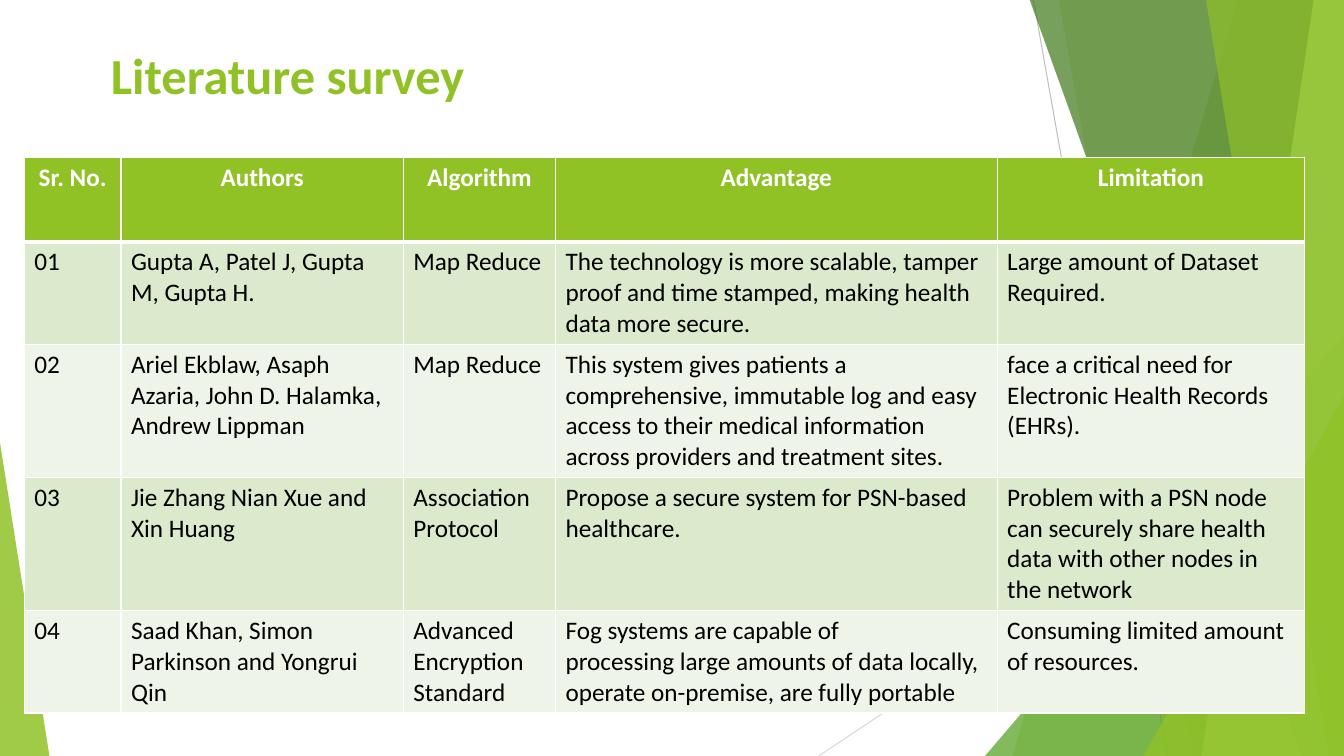
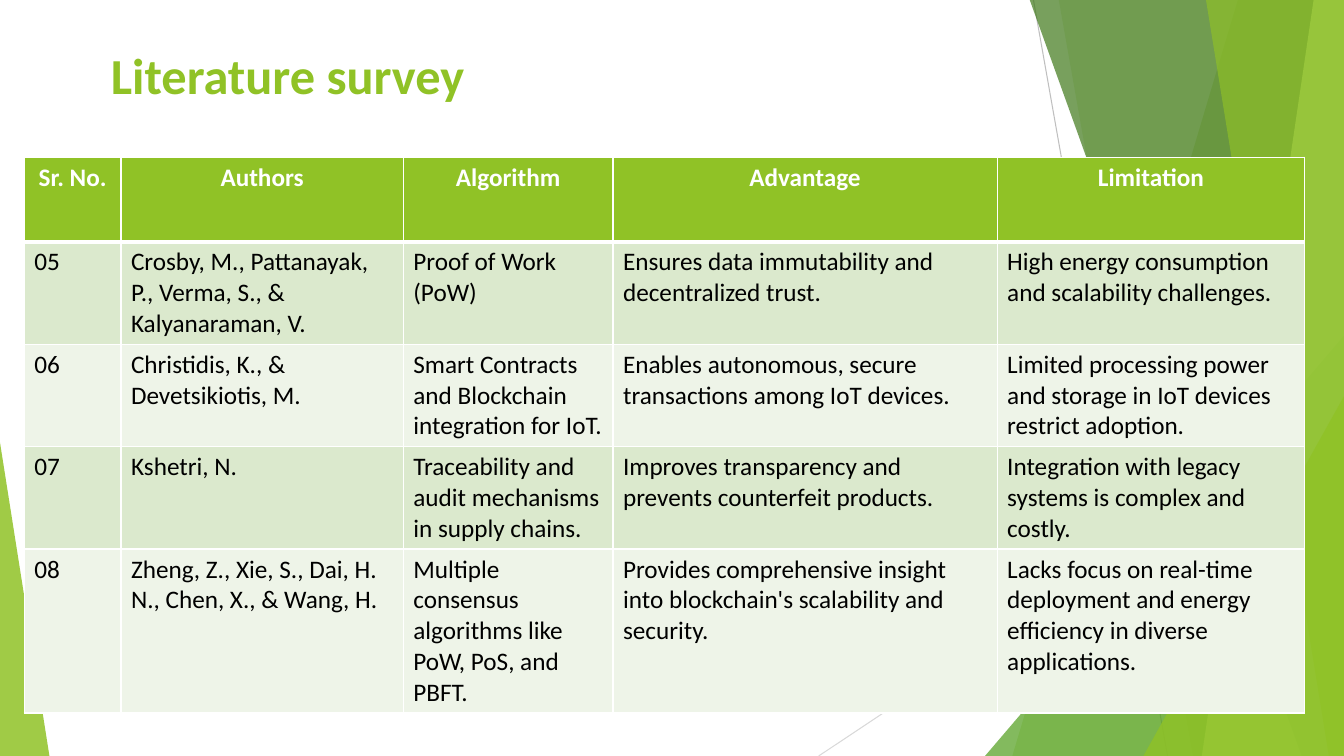
from dataclasses import dataclass

from lxml import etree
from pptx import Presentation
from pptx import util as u
from pptx.dml.color import RGBColor
from pptx.enum import shapes, text
from pptx.oxml.ns import qn

PX = 9144  # EMU per px, at 100 px to the inch
WIDTH, HEIGHT = 1333, 750


@dataclass(frozen=True)
class Theme:
    font: str = "Calibri"
    title_size: int = 36
    cell_size: int = 18
    green: str = "90C226"
    leaf: str = "54A021"
    forest: str = "3F7819"
    lime: str = "C0E474"
    white: str = "FFFFFF"
    black: str = "000000"
    bands: tuple = ("DBE9CD", "EEF4E8")
    greys: tuple = ("BFBFBF", "D9D9D9")
    hairline: float = 0.75
    border: int = 1
    header_border: int = 3


def px(*values):
    return [u.Emu(v * PX) for v in values]


def rgb(color):
    return RGBColor.from_string(color)


class Deck:
    def __init__(self, theme):
        self.theme = theme
        self.prs = Presentation()
        self.prs.slide_width, self.prs.slide_height = px(WIDTH, HEIGHT)
        self.layout = self.prs.slide_layouts[5]
        self.s = None

    def slide(self):
        self.s = self.prs.slides.add_slide(self.layout)

    def format(self, p, size, color, bold=False, align=text.PP_ALIGN.LEFT):
        p.alignment = align
        values = {"name": self.theme.font, "size": u.Pt(size), "bold": bold}
        for r in p.runs:
            for name, value in values.items():
                setattr(r.font, name, value)
            r.font.color.rgb = rgb(color)

    def title(self, words):
        sp = self.s.shapes.title
        sp.left, sp.top, sp.width, sp.height = px(100, 39, 1133, 95)
        tf = sp.text_frame
        tf.text = words
        tf.vertical_anchor = text.MSO_ANCHOR.TOP
        self.format(tf.paragraphs[0], self.theme.title_size, self.theme.green, bold=True)

    def line(self, start, end, color):
        line = self.s.shapes.add_connector(
            shapes.MSO_CONNECTOR.STRAIGHT, *px(*start, *end))
        line.line.color.rgb = rgb(color)
        line.line.width = u.Pt(self.theme.hairline)
        etree.SubElement(line._element.spPr, qn("a:effectLst"))

    def paint(self, sp, color, opacity):
        """Fill a shape with a translucent colour, without line or shadow."""
        sp.shadow.inherit = False
        sp.line.fill.background()
        sp.fill.solid()
        sp.fill.fore_color.rgb = rgb(color)
        clr = sp._element.spPr.find(".//" + qn("a:srgbClr"))
        etree.SubElement(clr, qn("a:alpha"), val=str(opacity * 1000))

    def shard(self, top_left, bottom_left, color, opacity):
        """Band from a slanted left edge to the right side of the slide."""
        builder = self.s.shapes.build_freeform(top_left, -1, PX)
        builder.add_line_segments(
            [(WIDTH, -1), (WIDTH, HEIGHT), (bottom_left, HEIGHT)], close=True)
        self.paint(builder.convert_to_shape(), color, opacity)

    def triangle(self, left, top, width, apex, color, opacity):
        sp = self.s.shapes.add_shape(
            shapes.MSO_SHAPE.ISOSCELES_TRIANGLE, *px(left, top, width, HEIGHT - top))
        sp.adjustments[0] = apex
        self.paint(sp, color, opacity)

    def backdrop(self):
        """Draw the facets once and move them to the layout all slides use."""
        t = self.theme
        self.slide()
        self.line((1025, 0), (1158, HEIGHT), t.greys[0])
        self.line((WIDTH, 403), (812, HEIGHT), t.greys[1])
        self.shard(1228, 1004, t.green, 30)
        self.shard(1050, 1183, t.green, 20)
        self.triangle(977, 333, 356, 1, t.leaf, 72)
        self.shard(1021, 1291, t.forest, 70)
        self.shard(1303, 1192, t.lime, 70)
        self.shard(1196, 1318, t.green, 65)
        self.triangle(1134, 393, 199, 1, t.green, 80)
        self.triangle(0, 439, 49, 0, t.green, 85)
        facets = [sp for sp in self.s.shapes if not sp.is_placeholder]
        for number, sp in enumerate(facets, 20):
            sp._element.find(".//" + qn("p:cNvPr")).set("id", str(number))
            self.layout.shapes.element.append(sp._element)

    def borders(self, cell, top, bottom):
        tcPr = cell._tc.get_or_add_tcPr()
        side = self.theme.border
        for tag, width in (("lnL", side), ("lnR", side), ("lnT", top), ("lnB", bottom)):
            ln = etree.SubElement(tcPr, qn("a:" + tag), w=str(u.Pt(width)))
            fill = etree.SubElement(ln, qn("a:solidFill"))
            etree.SubElement(fill, qn("a:srgbClr"), val=self.theme.white)

    def cell(self, cell, row, words):
        t = self.theme
        header = row == 0
        self.borders(cell,
                     t.header_border if row == 1 else t.border,
                     t.header_border if header else t.border)
        cell.fill.solid()
        cell.fill.fore_color.rgb = rgb(t.green if header else t.bands[(row - 1) % 2])
        cell.text = words
        for p in cell.text_frame.paragraphs:
            self.format(p, t.cell_size, t.white if header else t.black, header,
                        text.PP_ALIGN.CENTER if header else text.PP_ALIGN.LEFT)

    def table(self, rows, widths, heights):
        frame = self.s.shapes.add_table(
            len(rows), len(widths), *px(24, 156, sum(widths), sum(heights)))
        table = frame.table
        for column, width in zip(table.columns, px(*widths)):
            column.width = width
        for row, height in zip(table.rows, px(*heights)):
            row.height = height
        for i, row in enumerate(rows):
            for j, words in enumerate(row):
                self.cell(table.cell(i, j), i, words)


HEADER = ("Sr. No.", "Authors", "Algorithm", "Advantage", "Limitation")

SURVEYS = [
    {
        "widths": (96, 280, 151, 438, 305),
        "heights": (84, 101, 132, 132, 101),
        "rows": [
            ("01", "Gupta A, Patel J, Gupta M, Gupta H.", "Map Reduce",
             "The technology is more scalable, tamper proof and time stamped, "
             "making health data more secure.",
             "Large amount of Dataset Required."),
            ("02", "Ariel Ekblaw, Asaph Azaria, John D. Halamka, Andrew Lippman",
             "Map Reduce",
             "This system gives patients a comprehensive, immutable log and easy "
             "access to their medical information across providers and treatment sites.",
             "face a critical need for Electronic Health Records (EHRs)."),
            ("03", "Jie Zhang Nian Xue and Xin Huang", "Association Protocol",
             "Propose a secure system for PSN-based healthcare.",
             "Problem with a PSN node can securely share health data with other "
             "nodes in the network"),
            ("04", "Saad Khan, Simon Parkinson and Yongrui Qin",
             "Advanced\nEncryption\nStandard",
             "Fog systems are capable of\nprocessing large amounts of data locally, "
             "operate on-premise, are fully portable",
             "Consuming limited amount of resources."),
        ],
    },
    {
        "widths": (96, 280, 208, 381, 305),
        "heights": (84, 101, 101, 101, 162),
        "rows": [
            ("05", "Crosby, M., Pattanayak, P., Verma, S., & Kalyanaraman, V.",
             "Proof of Work (PoW)",
             "Ensures data immutability and decentralized trust.",
             "High energy consumption and scalability challenges."),
            ("06", "Christidis, K., & Devetsikiotis, M.",
             "Smart Contracts and Blockchain integration for IoT.",
             "Enables autonomous, secure transactions among IoT devices.",
             "Limited processing power and storage in IoT devices restrict adoption."),
            ("07", "Kshetri, N.",
             "Traceability and audit mechanisms in supply chains.",
             "Improves transparency and prevents counterfeit products.",
             "Integration with legacy systems is complex and costly."),
            ("08", "Zheng, Z., Xie, S., Dai, H. N., Chen, X., & Wang, H.",
             "Multiple consensus algorithms like PoW, PoS, and PBFT.",
             "Provides comprehensive insight into blockchain's scalability and security.",
             "Lacks focus on real-time deployment and energy efficiency in diverse "
             "applications."),
        ],
    },
]


def main():
    deck = Deck(Theme())
    deck.backdrop()
    for number, survey in enumerate(SURVEYS):
        if number:
            deck.slide()
        deck.title("Literature survey")
        deck.table([HEADER, *survey["rows"]], survey["widths"], survey["heights"])
    deck.prs.save("out.pptx")


if __name__ == "__main__":
    main()
